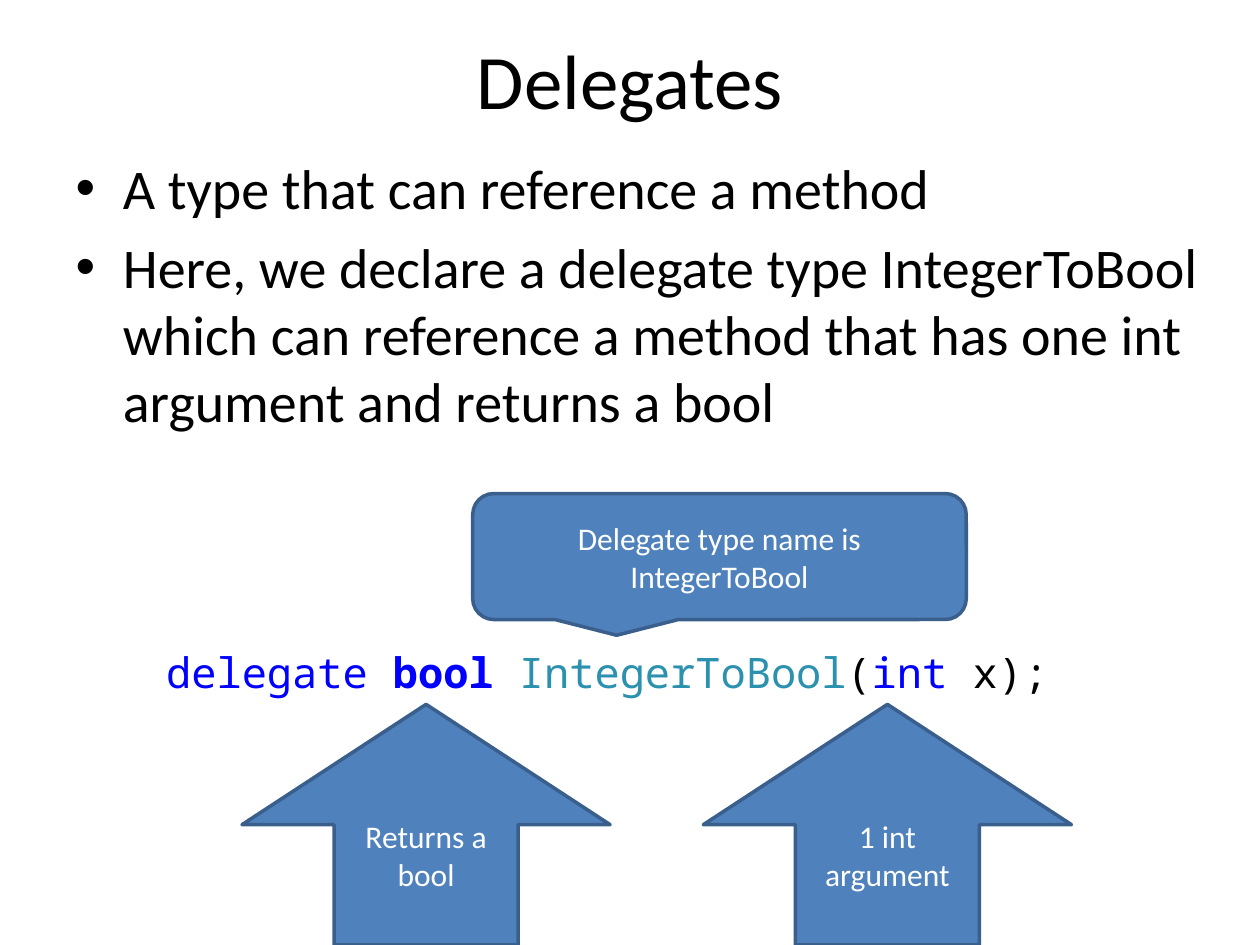
"""Build a slide that explains the parts of a delegate declaration."""
import pptx
import pptx.util
import pptx.dml.color
import pptx.enum.shapes
import pptx.enum.text

Cm = pptx.util.Cm
Pt = pptx.util.Pt
SHAPE = pptx.enum.shapes.MSO_SHAPE
ALIGN = pptx.enum.text.PP_ALIGN
ANCHOR = pptx.enum.text.MSO_ANCHOR

COLOURS = {
    "text": "000000",
    "keyword": "0000FF",
    "type": "2B91AF",
    "fill": "4F81BD",
    "outline": "3A5F8C",
    "label": "FFFFFF",
}


def colour(name):
    return pptx.dml.color.RGBColor.from_string(COLOURS[name])


def add_span(para, text, colour_name, **font_values):
    span = para.add_run()
    span.text = text
    span.font.color.rgb = colour(colour_name)
    for attribute, value in font_values.items():
        setattr(span.font, attribute, value)


deck = pptx.Presentation()
deck.slide_width, deck.slide_height = Cm(25.4), Cm(19.05)
page = deck.slides.add_slide(deck.slide_layouts[1])
title, body = page.placeholders

placeholders = [
    (title, (1.27, 0, 22.86, 3.18), 44, ["Delegates"]),
    (body, (1.27, 2.97, 23.29, 7.42), 32, [
        "A type that can reference a method",
        "Here, we declare a delegate type IntegerToBool which can reference "
        "a method that has one int argument and returns a bool",
    ]),
]
for box, place, size, lines in placeholders:
    box.left, box.top, box.width, box.height = map(Cm, place)
    for index, line in enumerate(lines):
        para = box.text_frame.add_paragraph() if index else box.text_frame.paragraphs[0]
        add_span(para, line, "text", name="Calibri", size=Pt(size))

code_box = page.shapes.add_textbox(Cm(3.1), Cm(12.9), Cm(19.33), Cm(1.27))
code_box.text_frame.word_wrap = True
code_spans = [
    ("delegate ", "keyword", False),
    ("bool ", "keyword", True),
    ("IntegerToBool", "type", False),
    ("(", "text", False),
    ("int ", "keyword", False),
    ("x);", "text", False),
]
for text, colour_name, bold in code_spans:
    add_span(code_box.text_frame.paragraphs[0], text, colour_name,
             name="Noto Sans Mono", size=Pt(24), bold=bold)

callouts = [
    (SHAPE.UP_ARROW, (4.88, 14.2, 7.42, 4.85), "Returns a bool"),
    (SHAPE.UP_ARROW, (14.18, 14.2, 7.42, 4.85), "1 int argument"),
    (SHAPE.ROUNDED_RECTANGULAR_CALLOUT, (9.53, 9.95, 9.95, 2.54),
     "Delegate type name is IntegerToBool"),
]
for kind, place, text in callouts:
    callout = page.shapes.add_shape(kind, *map(Cm, place))
    callout.shadow.inherit = False
    callout.fill.solid()
    callout.fill.fore_color.rgb = colour("fill")
    callout.line.color.rgb = colour("outline")
    callout.line.width = Pt(2)
    callout.text_frame.word_wrap = True
    callout.text_frame.vertical_anchor = ANCHOR.MIDDLE
    para = callout.text_frame.paragraphs[0]
    para.alignment = ALIGN.CENTER
    add_span(para, text, "label", name="Calibri", size=Pt(18))

deck.save("out.pptx")
